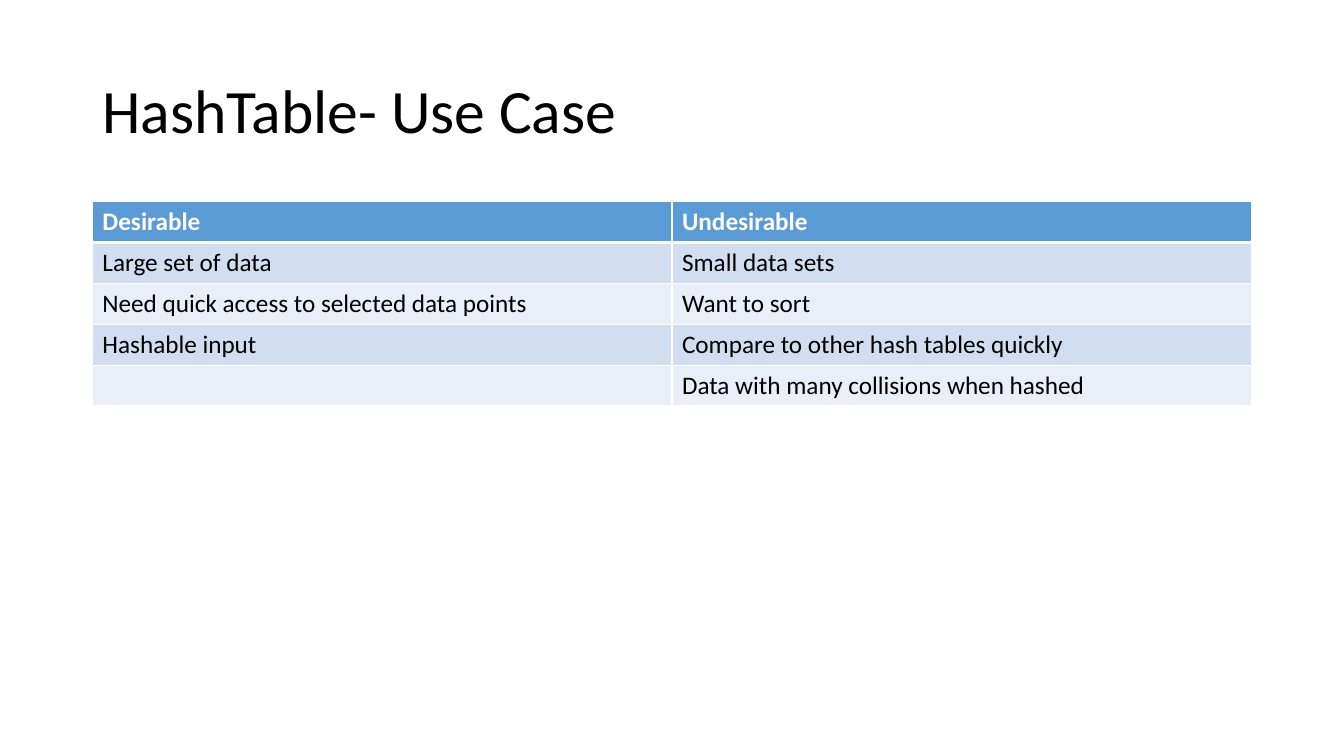
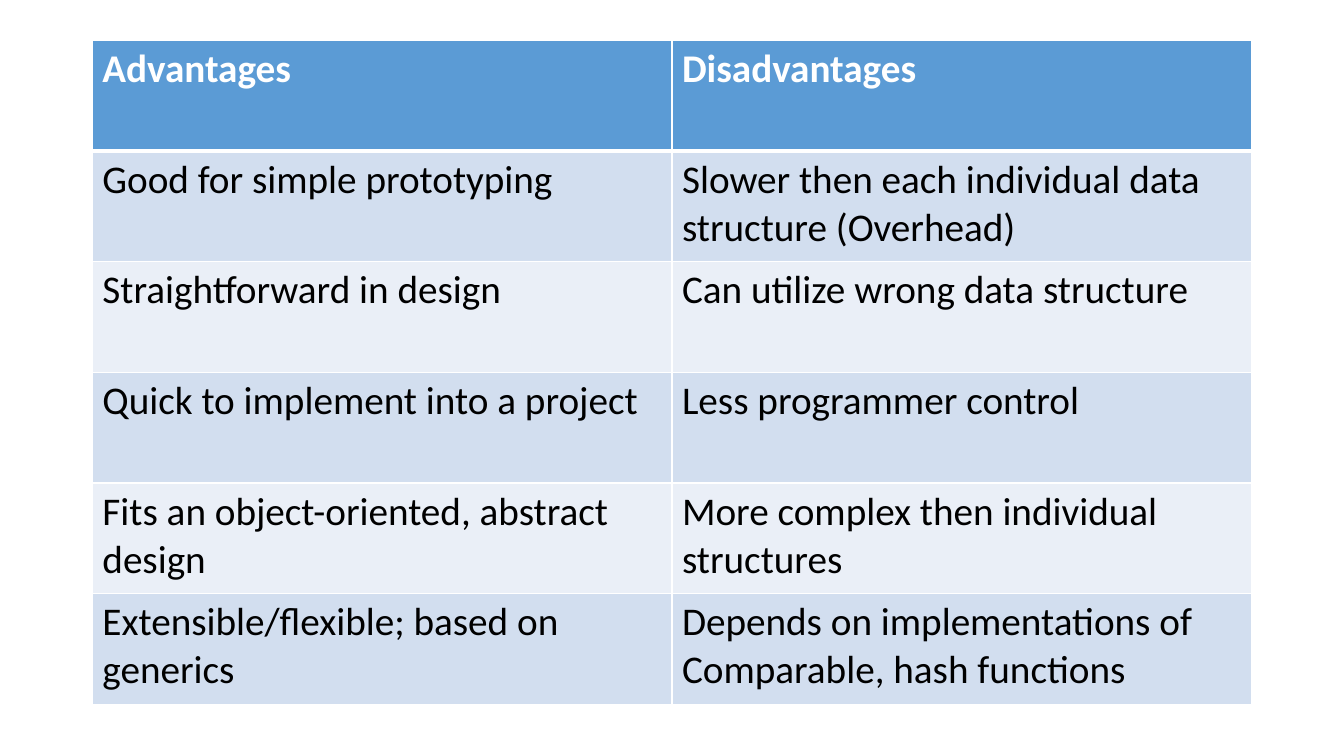
"""Build two slides that compare data structure trade-offs in tables."""
import dataclasses

import lxml.etree
import pptx
import pptx.dml.color
import pptx.enum.text
import pptx.oxml.ns
import pptx.slide
import pptx.table
import pptx.util

Pt = pptx.util.Pt
RGBColor = pptx.dml.color.RGBColor
qn = pptx.oxml.ns.qn

WHITE = RGBColor(0xFF, 0xFF, 0xFF)
BLACK = RGBColor(0x00, 0x00, 0x00)
HEADER_BLUE = RGBColor(0x5B, 0x9B, 0xD5)
BANDS = (RGBColor(0xD2, 0xDE, 0xEF), RGBColor(0xEA, 0xEF, 0xF7))

FONT = "Calibri"
SLIDE_WIDTH, SLIDE_HEIGHT = 960, 540
MARGIN = 66
CONTENT_WIDTH = SLIDE_WIDTH - 2 * MARGIN
TITLE_TOP, TITLE_HEIGHT, TITLE_SIZE = 28.75, 104.38, 44
THIN_RULE, HEADER_RULE = 1, 3


@dataclasses.dataclass(frozen=True)
class Comparison:
    """A table with a header row; lengths and text size in points."""

    top: float
    row_height: float
    text_size: float
    rows: tuple[tuple[str, str], ...]


@dataclasses.dataclass(frozen=True)
class Page:
    """One slide: a comparison and, if any, its title."""

    comparison: Comparison
    title: str = ""


PAGES = (
    Page(
        title="HashTable- Use Case",
        comparison=Comparison(
            top=144,
            row_height=29.2,
            text_size=18,
            rows=(
                ("Desirable", "Undesirable"),
                ("Large set of data", "Small data sets"),
                ("Need quick access to selected data points", "Want to sort"),
                ("Hashable input", "Compare to other hash tables quickly"),
                ("", "Data with many collisions when hashed"),
            ),
        ),
    ),
    Page(
        comparison=Comparison(
            top=28.75,
            row_height=79.08,
            text_size=28,
            rows=(
                ("Advantages", "Disadvantages"),
                ("Good for simple prototyping",
                 "Slower then each individual data structure (Overhead)"),
                ("Straightforward in design", "Can utilize wrong data structure"),
                ("Quick to implement into a project", "Less programmer control"),
                ("Fits an object-oriented, abstract design",
                 "More complex then individual structures"),
                ("Extensible/flexible; based on generics",
                 "Depends on implementations of Comparable, hash functions"),
            ),
        ),
    ),
)


def style_text(frame: pptx.text.text.TextFrame, size: float,
               color: RGBColor, bold: bool = False) -> None:
    """Format every run in a text frame."""
    for paragraph in frame.paragraphs:
        for run in paragraph.runs:
            run.font.name = FONT
            run.font.size = Pt(size)
            run.font.bold = bold
            run.font.color.rgb = color


def add_title(slide: pptx.slide.Slide, title: str) -> None:
    """Add the slide title, centred vertically in its band."""
    heading = slide.shapes.add_textbox(
        Pt(MARGIN), Pt(TITLE_TOP), Pt(CONTENT_WIDTH), Pt(TITLE_HEIGHT))
    frame = heading.text_frame
    frame.word_wrap = True
    frame.vertical_anchor = pptx.enum.text.MSO_ANCHOR.MIDDLE
    frame.text = title
    frame.paragraphs[0].line_spacing = 0.9
    style_text(frame, TITLE_SIZE, BLACK)


def set_borders(cell: pptx.table._Cell, top: float, bottom: float) -> None:
    """Give a cell white borders; call before its fill is set."""
    properties = cell._tc.get_or_add_tcPr()
    widths = {"a:lnL": THIN_RULE, "a:lnR": THIN_RULE,
              "a:lnT": top, "a:lnB": bottom}
    for side, width in widths.items():
        line = lxml.etree.SubElement(properties, qn(side), w=str(Pt(width)))
        fill = lxml.etree.SubElement(line, qn("a:solidFill"))
        lxml.etree.SubElement(fill, qn("a:srgbClr"), val=str(WHITE))


def add_comparison(slide: pptx.slide.Slide, comparison: Comparison) -> None:
    """Add a table with equal columns, a blue header and banded rows."""
    rows = comparison.rows
    column_count = len(rows[0])
    table = slide.shapes.add_table(
        len(rows), column_count, Pt(MARGIN), Pt(comparison.top),
        Pt(CONTENT_WIDTH), Pt(comparison.row_height * len(rows))).table
    table.horz_banding = False
    for column in table.columns:
        column.width = Pt(CONTENT_WIDTH / column_count)
    for row_index, entries in enumerate(rows):
        table.rows[row_index].height = Pt(comparison.row_height)
        is_header = row_index == 0
        band = HEADER_BLUE if is_header else BANDS[(row_index - 1) % len(BANDS)]
        top_rule = HEADER_RULE if row_index == 1 else THIN_RULE
        bottom_rule = HEADER_RULE if is_header else THIN_RULE
        for column_index, entry in enumerate(entries):
            cell = table.cell(row_index, column_index)
            set_borders(cell, top_rule, bottom_rule)
            cell.fill.solid()
            cell.fill.fore_color.rgb = band
            if entry:
                cell.text_frame.text = entry
                style_text(cell.text_frame, comparison.text_size,
                           WHITE if is_header else BLACK, is_header)


def main() -> None:
    """Build and save the presentation."""
    deck = pptx.Presentation()
    deck.slide_width, deck.slide_height = Pt(SLIDE_WIDTH), Pt(SLIDE_HEIGHT)
    blank_layout = deck.slide_layouts[6]
    for page in PAGES:
        slide = deck.slides.add_slide(blank_layout)
        if page.title:
            add_title(slide, page.title)
        add_comparison(slide, page.comparison)
    deck.save("out.pptx")


main()
